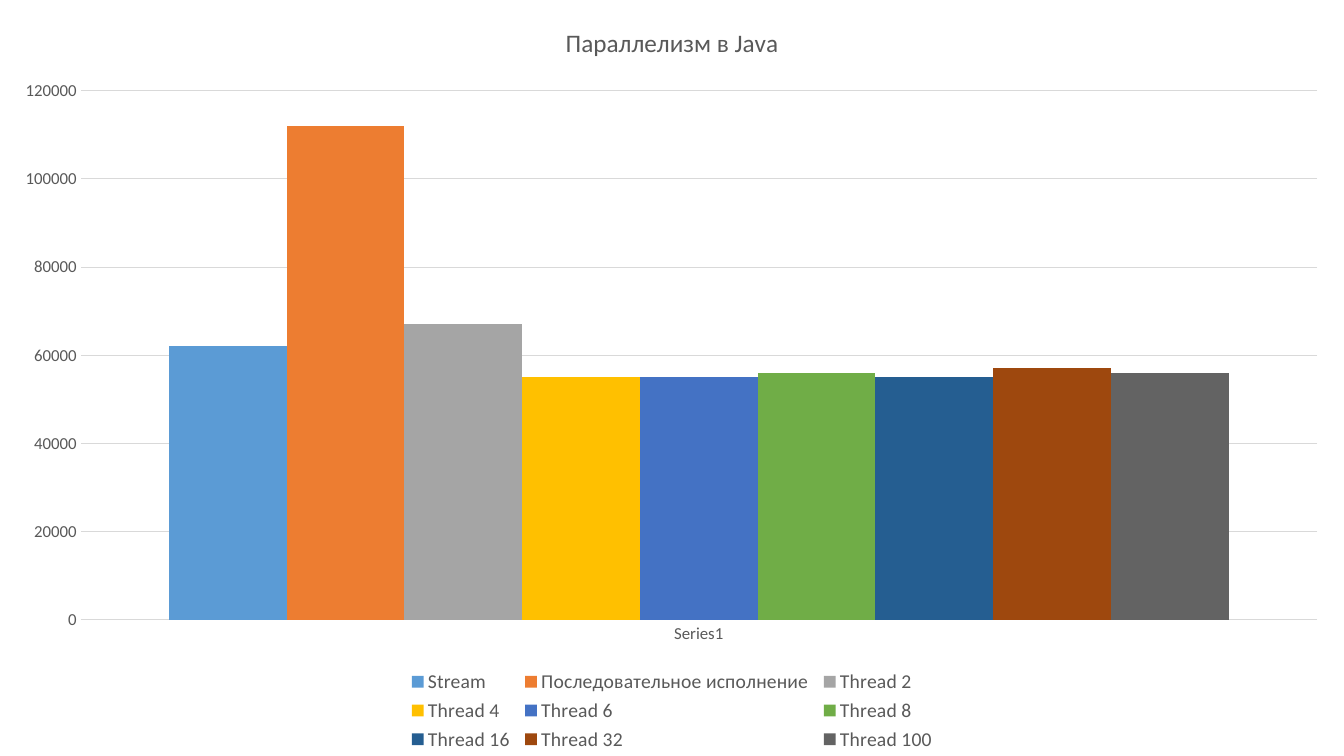
from pptx import Presentation
from pptx.chart.data import CategoryChartData as ChartData
from pptx.dml.color import RGBColor as RGB
from pptx.enum.chart import XL_CHART_TYPE as ChartType
from pptx.enum.chart import XL_LEGEND_POSITION as LegendPosition
from pptx.enum.chart import XL_TICK_MARK as TickMark
from pptx.oxml import parse_xml
from pptx.oxml.ns import nsdecls
from pptx.util import Inches, Pt

COLORS = {
    "text": "595959",
    "rule": "D9D9D9",
    "Stream": "5B9BD5",
    "Последовательное исполнение": "ED7D31",
    "Thread 2": "A5A5A5",
    "Thread 4": "FFC000",
    "Thread 6": "4472C4",
    "Thread 8": "70AD47",
    "Thread 16": "255E91",
    "Thread 32": "9E480E",
    "Thread 100": "636363",
}
TIMINGS = {
    "Stream": 62000,
    "Последовательное исполнение": 112000,
    "Thread 2": 67000,
    "Thread 4": 55000,
    "Thread 6": 55000,
    "Thread 8": 56000,
    "Thread 16": 55000,
    "Thread 32": 57000,
    "Thread 100": 56000,
}
# Left, top, width and height as shares of the slide
PLOT_AREA = {"x": 0.06, "y": 0.12, "w": 0.92, "h": 0.7}
LEGEND_AREA = {"x": 0.3, "y": 0.88, "w": 0.4, "h": 0.12}


def apply_format(target, values):
    for attribute, value in values.items():
        setattr(target, attribute, value)


def style_font(font, size):
    apply_format(font, {"name": "Calibri", "size": Pt(size), "bold": False})
    font.color.rgb = RGB.from_string(COLORS["text"])


def style_rule(line):
    line.color.rgb = RGB.from_string(COLORS["rule"])
    line.width = Pt(0.75)


def make_layout(area, inner=False):
    target = '<c:layoutTarget val="inner"/>' if inner else ""
    modes = "".join(f'<c:{side}Mode val="edge"/>' for side in "xy")
    shares = "".join(f'<c:{side} val="{share}"/>' for side, share in area.items())
    return parse_xml(
        f'<c:layout {nsdecls("c")}><c:manualLayout>{target}{modes}{shares}'
        "</c:manualLayout></c:layout>"
    )


def place_plot(chart):
    plot_area = chart.plots[0]._element.getparent()
    for layout in plot_area.findall("{*}layout"):
        plot_area.remove(layout)
    plot_area.insert(0, make_layout(PLOT_AREA, inner=True))


def add_timing_chart(slide, width, height):
    data = ChartData(number_format="0")
    data.categories = ["Series1"]
    for name, timing in TIMINGS.items():
        data.add_series(name, [timing])
    chart = slide.shapes.add_chart(
        ChartType.COLUMN_CLUSTERED, 0, 0, width, height, data
    ).chart
    style_font(chart.font, 12)
    return chart


def style_title(chart):
    chart.has_title = True
    heading = chart.chart_title.text_frame
    heading.text = "Параллелизм в Java"
    style_font(heading.paragraphs[0].runs[0].font, 18)
    chart.chart_title.include_in_layout = False


def style_columns(chart):
    columns = chart.plots[0]
    apply_format(columns, {"gap_width": 150, "overlap": 0, "vary_by_categories": False})
    for series in columns.series:
        series.format.fill.solid()
        series.format.fill.fore_color.rgb = RGB.from_string(COLORS[series.name])
        series.invert_if_negative = False


def style_axes(chart):
    ticks = {"major_tick_mark": TickMark.NONE, "minor_tick_mark": TickMark.NONE}
    for axis in (chart.category_axis, chart.value_axis):
        apply_format(axis, ticks)
        style_font(axis.tick_labels.font, 12)
    style_rule(chart.category_axis.format.line)

    scale = {"minimum_scale": 0, "maximum_scale": 120000, "major_unit": 20000}
    apply_format(chart.value_axis, {**scale, "has_major_gridlines": True})
    chart.value_axis.format.line.fill.background()
    style_rule(chart.value_axis.major_gridlines.format.line)
    labels = {"number_format": "0", "number_format_is_linked": False}
    apply_format(chart.value_axis.tick_labels, labels)


def style_legend(chart):
    chart.has_legend = True
    legend = chart.legend
    apply_format(legend, {"position": LegendPosition.BOTTOM, "include_in_layout": False})
    style_font(legend.font, 14)
    element = legend._element
    for layout in element.findall("{*}layout"):
        element.remove(layout)
    element.find("{*}legendPos").addnext(make_layout(LEGEND_AREA))


def main():
    deck = Presentation()
    apply_format(deck, {"slide_width": Inches(13.33), "slide_height": Inches(7.5)})
    slide = deck.slides.add_slide(deck.slide_layouts[6])

    # Full-slide chart of run times
    chart = add_timing_chart(slide, deck.slide_width, deck.slide_height)
    for style in (style_title, style_columns, style_axes, style_legend, place_plot):
        style(chart)

    deck.save("out.pptx")


if __name__ == "__main__":
    main()
